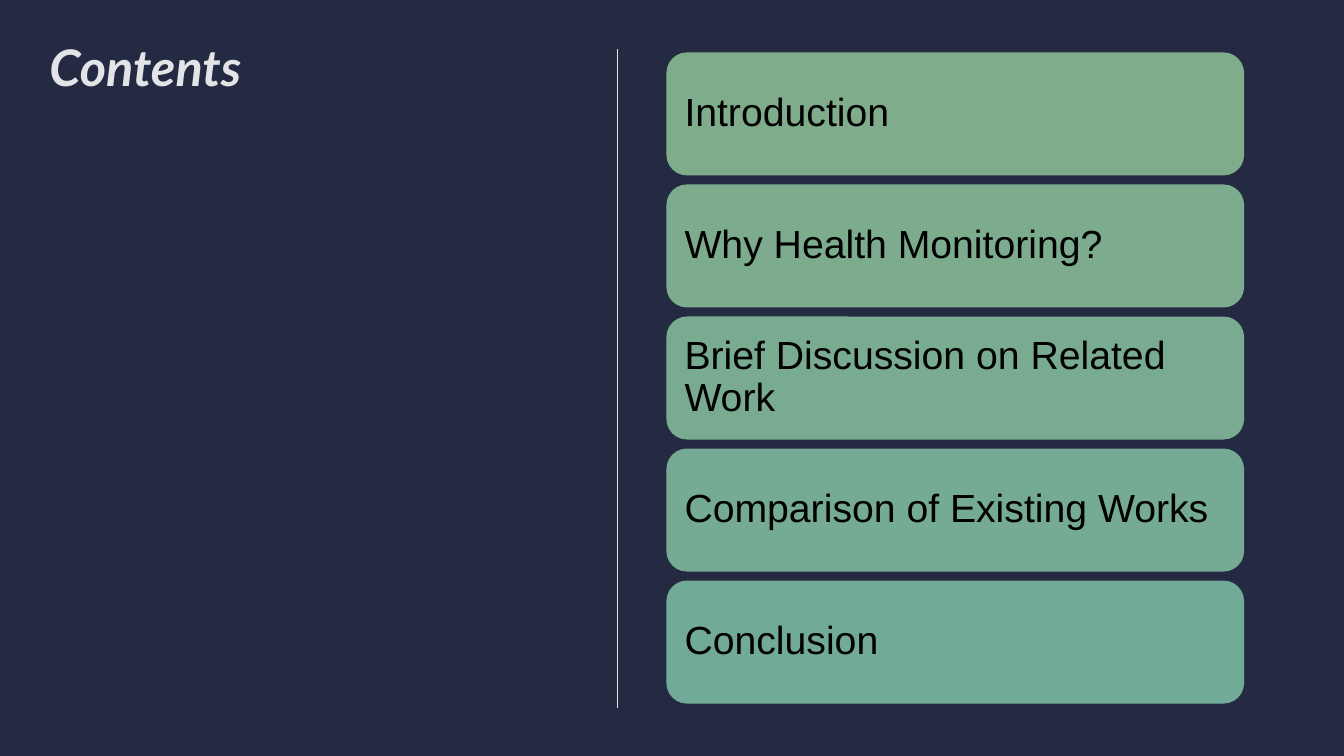
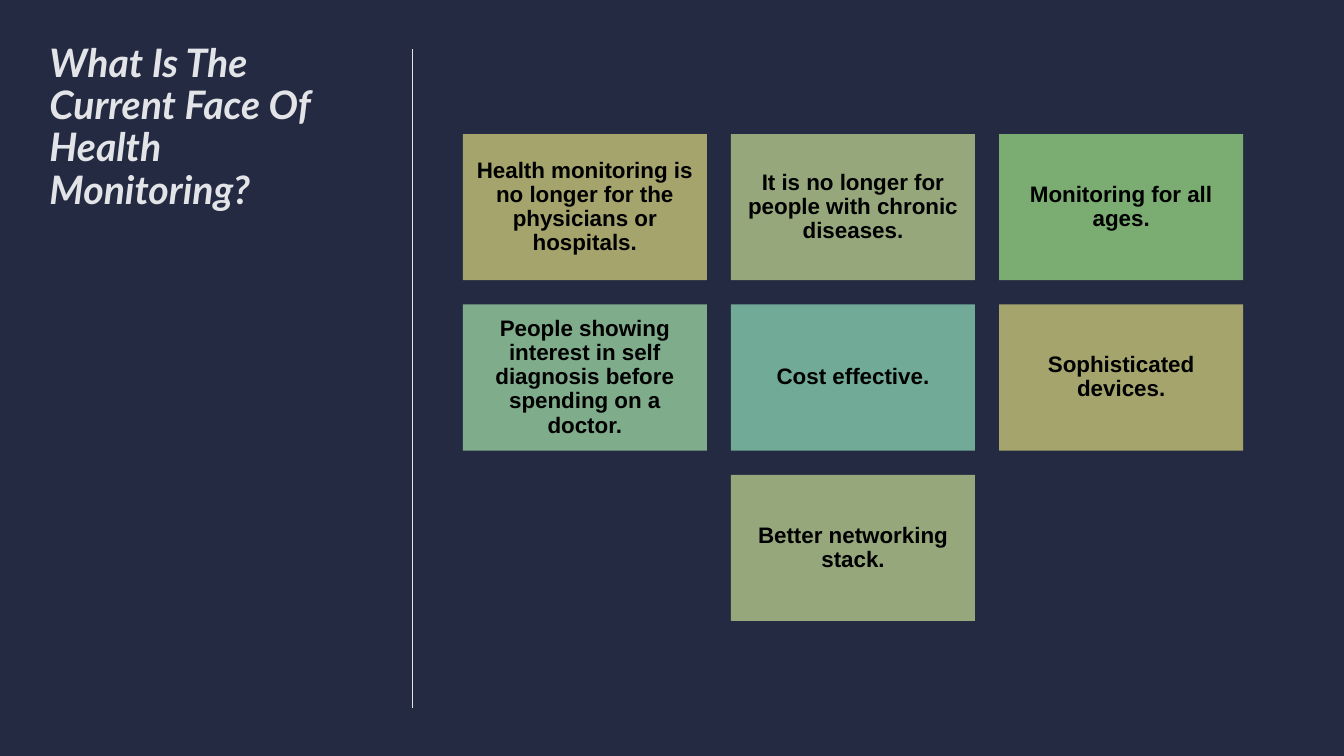
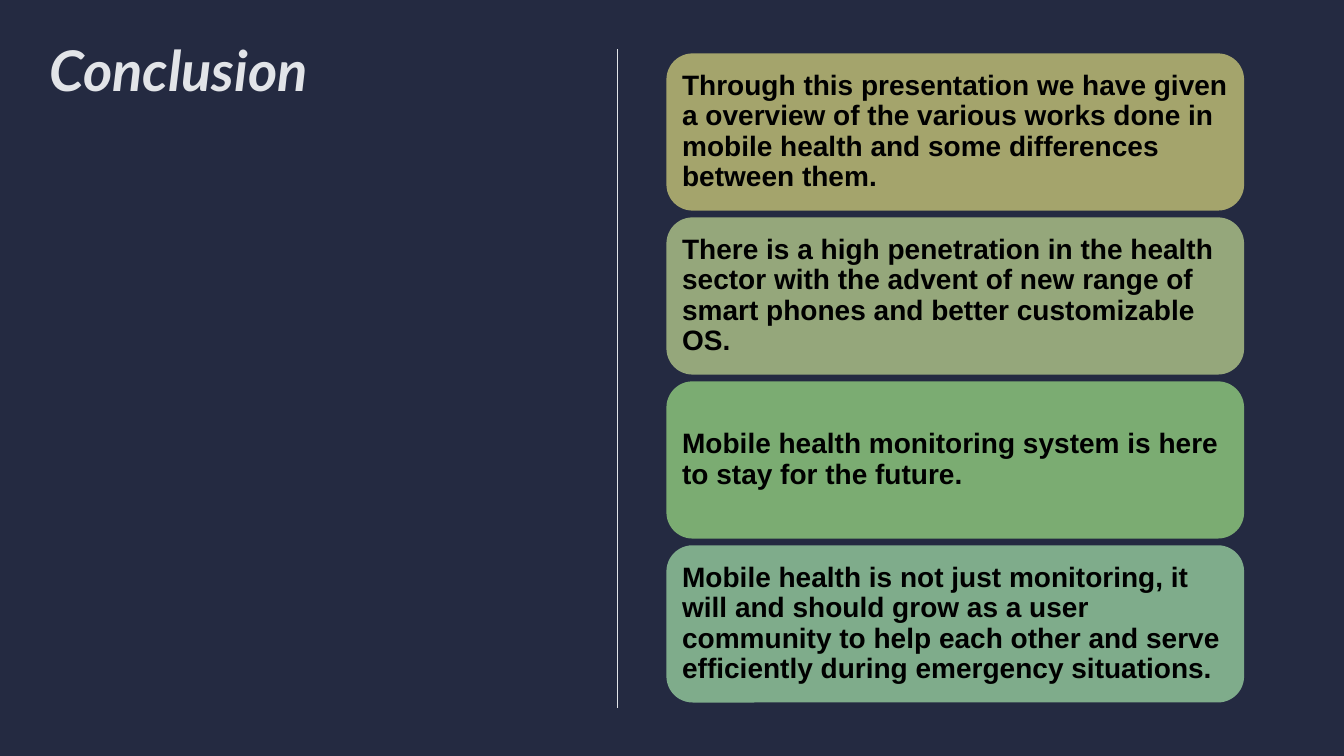
from dataclasses import dataclass
from typing import Any

from lxml.etree import SubElement
from pptx import Presentation
from pptx.dml.color import RGBColor
from pptx.enum.shapes import MSO_CONNECTOR as Connector, MSO_SHAPE as Shape
from pptx.enum.text import MSO_ANCHOR as Anchor, MSO_AUTO_SIZE as AutoSize, PP_ALIGN as Align
from pptx.oxml.ns import qn
from pptx.util import Inches, Pt

# Shared look
BACKGROUND, PALE, BLACK = "242A41", "E2E4E8", "000000"
OLIVE, SAGE, LEAF, MINT, TEAL = "A4A46C", "95A77B", "7BAC72", "7FAC8B", "71AB98"
TITLE_FONT, CARD_FONT = "Lato", "Arial"
MARGIN, TITLE_TOP, TITLE_HEIGHT = 0.49, 0.43, 6.52
DIVIDER_TOP, DIVIDER_BOTTOM = 0.49, 7.02
LINE_SPACING = 0.9


@dataclass(frozen=True)
class Heading:
    text: str
    size: int
    width: float
    divider: float


@dataclass(frozen=True)
class Card:
    text: str
    fill: str


@dataclass(frozen=True)
class CardStyle:
    shape: Shape
    width: float
    height: float
    inset: float
    size: int
    bold: bool
    align: Align


def color(value: str) -> RGBColor:
    return RGBColor.from_string(value)


def apply(target: Any, values: dict[str, Any]) -> None:
    for name, value in values.items():
        setattr(target, name, value)


def write(shape: Any, text: str, inset: float, anchor: Anchor, align: Align,
          font_values: dict[str, Any], font_color: str) -> None:
    """Fill a shape or placeholder with one formatted paragraph."""
    frame = shape.text_frame
    margins = {f"margin_{side}": Inches(inset) for side in ("left", "top", "right", "bottom")}
    apply(frame, {"word_wrap": True, "auto_size": AutoSize.NONE,
                  "vertical_anchor": anchor, **margins})
    para = frame.paragraphs[0]
    apply(para, {"alignment": align, "line_spacing": LINE_SPACING})
    span = para.add_run()
    span.text = text
    apply(span.font, font_values)
    span.font.color.rgb = color(font_color)


def add_page(deck: Any, heading: Heading) -> Any:
    """Add a slide with its title and vertical divider."""
    page = deck.slides.add_slide(deck.slide_layouts.get_by_name("Title Only"))
    title = page.shapes.title
    apply(title, {"left": Inches(MARGIN), "top": Inches(TITLE_TOP),
                  "width": Inches(heading.width), "height": Inches(TITLE_HEIGHT)})
    write(title, heading.text, 0, Anchor.TOP, Align.LEFT,
          {"name": TITLE_FONT, "size": Pt(heading.size), "bold": True, "italic": True}, PALE)

    divider = page.shapes.add_connector(
        Connector.STRAIGHT, Inches(heading.divider), Inches(DIVIDER_TOP),
        Inches(heading.divider), Inches(DIVIDER_BOTTOM))
    divider.line.width = Pt(0.75)
    divider.line.color.rgb = color(PALE)
    SubElement(divider.element.spPr, qn("a:effectLst"))
    return page


def add_card(page: Any, card: Card, style: CardStyle, left: float, top: float) -> None:
    box = page.shapes.add_shape(style.shape, Inches(left), Inches(top),
                                Inches(style.width), Inches(style.height))
    box.shadow.inherit = False
    box.fill.solid()
    box.fill.fore_color.rgb = color(card.fill)
    box.line.fill.background()
    write(box, card.text, style.inset, Anchor.MIDDLE, style.align,
          {"name": CARD_FONT, "size": Pt(style.size), "bold": style.bold}, BLACK)


def add_stack(page: Any, cards: list[Card], style: CardStyle,
              left: float, top: float, bottom: float) -> None:
    """Spread cards evenly from top to bottom."""
    step = (bottom - top - style.height) / (len(cards) - 1)
    for row, card in enumerate(cards):
        add_card(page, card, style, left, top + row * step)


def add_grid(page: Any, cards: list[Card], style: CardStyle,
             left: float, top: float, columns: int, gap: float) -> None:
    """Lay cards out in rows, centring a short last row."""
    step_x, step_y = style.width + gap, style.height + gap
    for row, start in enumerate(range(0, len(cards), columns)):
        row_cards = cards[start:start + columns]
        row_left = left + (columns - len(row_cards)) * step_x / 2
        for column, card in enumerate(row_cards):
            add_card(page, card, style, row_left + column * step_x, top + row * step_y)


CONTENTS = [
    Card("Introduction", MINT),
    Card("Why Health Monitoring?", "7CAC8D"),
    Card("Brief Discussion on Related Work", "78AB90"),
    Card("Comparison of Existing Works", "75AB94"),
    Card("Conclusion", TEAL),
]
CURRENT_FACE = [
    Card("Health monitoring is no longer for the physicians or hospitals.", OLIVE),
    Card("It is no longer for people with chronic diseases.", SAGE),
    Card("Monitoring for all ages.", LEAF),
    Card("People showing interest in self diagnosis before spending on a doctor.", MINT),
    Card("Cost effective.", TEAL),
    Card("Sophisticated devices.", OLIVE),
    Card("Better networking stack.", SAGE),
]
CONCLUSION = [
    Card("Through this presentation we have given a overview of the various works done "
         "in mobile health and some differences between them.", OLIVE),
    Card("There is a high penetration in the health sector with the advent of new range "
         "of smart phones and better customizable OS.", SAGE),
    Card("Mobile health monitoring system is here to stay for the future.", LEAF),
    Card("Mobile health is not just monitoring, it will and should grow as a user community "
         "to help each other and serve efficiently during emergency situations.", MINT),
]

CONTENTS_STYLE = CardStyle(Shape.ROUNDED_RECTANGLE, 5.73, 1.22, 0.12, 28, False, Align.LEFT)
FACE_STYLE = CardStyle(Shape.RECTANGLE, 2.42, 1.45, 0.07, 16, True, Align.CENTER)
CONCLUSION_STYLE = CardStyle(Shape.ROUNDED_RECTANGLE, 5.73, 1.56, 0.08, 20, True, Align.LEFT)


def main() -> None:
    deck = Presentation()
    apply(deck, {"slide_width": Inches(13.33), "slide_height": Inches(7.5)})
    background = deck.slide_master.background.fill
    background.solid()
    background.fore_color.rgb = color(BACKGROUND)

    # Contents
    page = add_page(deck, Heading("Contents", 36, 5.13, 6.12))
    add_stack(page, CONTENTS, CONTENTS_STYLE, 6.61, 0.52, 6.98)

    # Current face of health monitoring
    page = add_page(deck, Heading("What Is The Current Face Of Health Monitoring?", 28, 3.12, 4.09))
    add_grid(page, CURRENT_FACE, FACE_STYLE, 4.59, 1.33, columns=3, gap=0.24)

    # Conclusion
    page = add_page(deck, Heading("Conclusion", 40, 5.13, 6.12))
    add_stack(page, CONCLUSION, CONCLUSION_STYLE, 6.61, 0.53, 6.97)

    deck.save("out.pptx")


if __name__ == "__main__":
    main()
